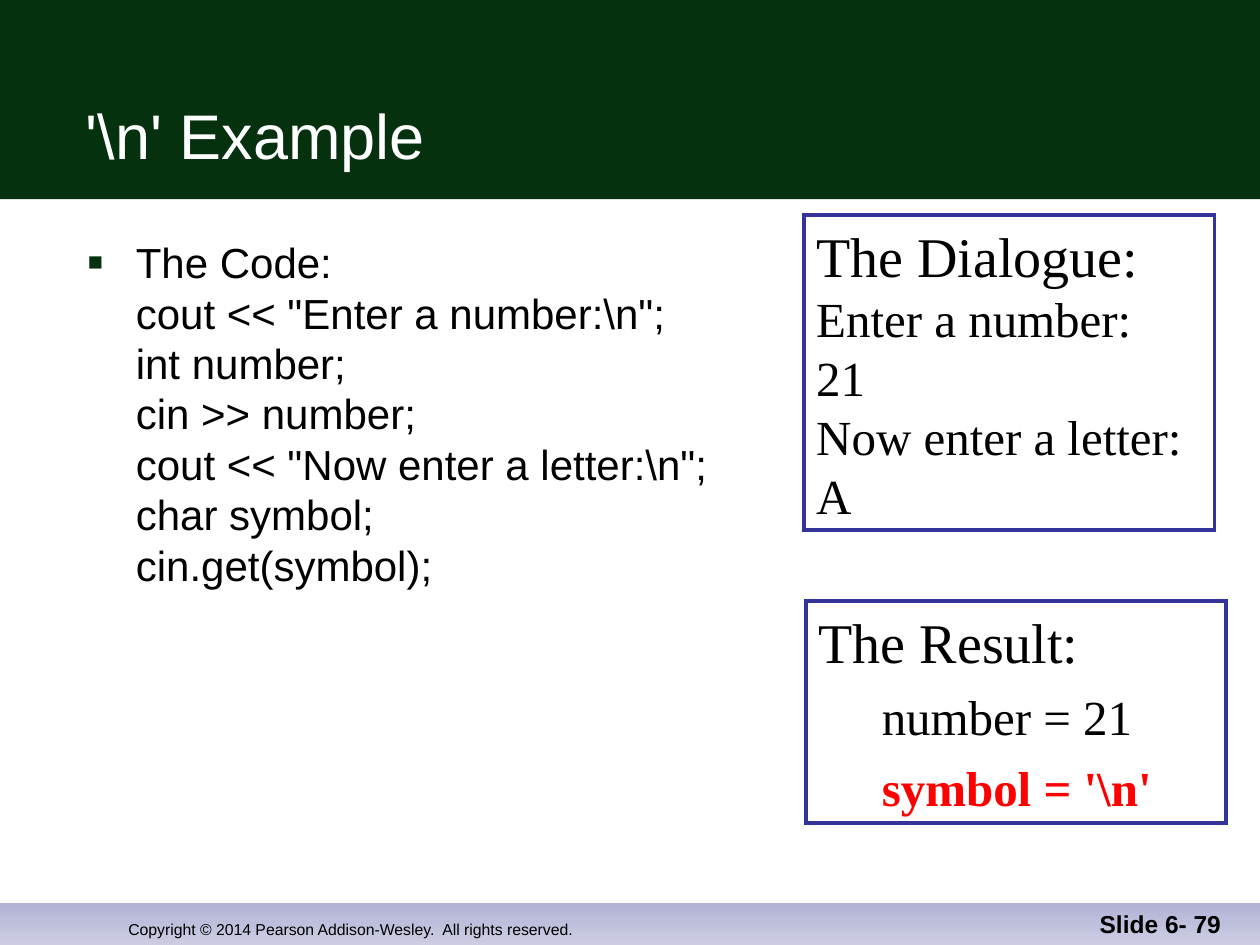
from lxml.etree import SubElement
from pptx import Presentation
from pptx.dml.color import RGBColor
from pptx.enum.shapes import MSO_SHAPE
from pptx.enum.text import MSO_ANCHOR, MSO_AUTO_SIZE, PP_ALIGN
from pptx.oxml.ns import qn
from pptx.util import Inches, Pt

GREEN = RGBColor(0x05, 0x31, 0x0F)
LAVENDER = RGBColor(0xB2, 0xB3, 0xD5)
PALE_LAVENDER = RGBColor(0xCC, 0xCD, 0xE3)
INDIGO = RGBColor(0x33, 0x33, 0x99)
BLACK = RGBColor(0, 0, 0)
WHITE = RGBColor(0xFF, 0xFF, 0xFF)
RED = RGBColor(0xFF, 0, 0)

CODE = [
    "The Code:",
    'cout << "Enter a number:\\n";',
    "int number;",
    "cin >> number;",
    'cout << "Now enter a letter:\\n";',
    "char symbol;",
    "cin.get(symbol);",
]
DIALOGUE = ["The Dialogue:", "Enter a number:", "21", "Now enter a letter:", "A"]


def format_runs(paragraph, size, font="Arial", color=BLACK, bold=False):
    """Give every run of a paragraph the same font."""
    for run in paragraph.runs:
        run.font.name = font
        run.font.size = Pt(size)
        run.font.color.rgb = color
        run.font.bold = bold


def add_band(slide, box):
    """Add a borderless rectangle and return it."""
    band = slide.shapes.add_shape(MSO_SHAPE.RECTANGLE, *map(Inches, box))
    band.shadow.inherit = False
    band.line.fill.background()
    return band


def add_header(slide, box, title_box):
    """Place the green header with the slide title on it."""
    header = add_band(slide, box)
    header.fill.solid()
    header.fill.fore_color.rgb = GREEN
    title = slide.shapes.title
    slide.shapes._spTree.append(title._element)
    title.left, title.top, title.width, title.height = map(Inches, title_box)
    frame = title.text_frame
    frame.text = "'\\n' Example"
    frame.auto_size = MSO_AUTO_SIZE.NONE
    frame.vertical_anchor = MSO_ANCHOR.BOTTOM
    frame.paragraphs[0].alignment = PP_ALIGN.LEFT
    format_runs(frame.paragraphs[0], 36, color=WHITE)


def add_label(slide, box, text, size, bold=False, alignment=PP_ALIGN.LEFT):
    """Place one line of footer text at the bottom of its box."""
    frame = slide.shapes.add_textbox(*map(Inches, box)).text_frame
    frame.word_wrap = True
    frame.vertical_anchor = MSO_ANCHOR.BOTTOM
    frame.text = text
    frame.paragraphs[0].alignment = alignment
    format_runs(frame.paragraphs[0], size, bold=bold)


def add_footer(slide, box):
    """Place the gradient band with the copyright line and slide number."""
    footer = add_band(slide, box)
    footer.fill.gradient()
    footer.fill.gradient_angle = 270
    for stop, color in zip(footer.fill.gradient_stops, (LAVENDER, PALE_LAVENDER)):
        stop.color.rgb = color
    copyright_line = "Copyright © 2014 Pearson Addison-Wesley.  All rights reserved."
    add_label(slide, (0.92, 7, 4.92, 0.5), copyright_line, 9)
    add_label(slide, (7.71, 7, 2.08, 0.5), "Slide 6- 79", 14, True, PP_ALIGN.RIGHT)


def add_square_bullet(paragraph):
    """Give a paragraph a small green square bullet with a hanging indent."""
    properties = paragraph._p.get_or_add_pPr()
    properties.set("marL", str(Inches(0.38)))
    properties.set("indent", str(Inches(-0.38)))
    bullet_color = SubElement(properties, qn("a:buClr"))
    SubElement(bullet_color, qn("a:srgbClr"), val=str(GREEN))
    SubElement(properties, qn("a:buSzPct"), val="60000")
    SubElement(properties, qn("a:buFont"), typeface="Arial")
    SubElement(properties, qn("a:buChar"), char="■")


def add_code(slide, box):
    """Place the bulleted code listing."""
    frame = slide.shapes.add_textbox(*map(Inches, box)).text_frame
    frame.word_wrap = True
    frame.margin_right = 0
    frame.text = "\v".join(CODE)
    listing = frame.paragraphs[0]
    add_square_bullet(listing)
    format_runs(listing, 24)


def add_panel(slide, box, text):
    """Add an outlined panel headed by its first run and return its paragraphs."""
    panel = slide.shapes.add_shape(MSO_SHAPE.RECTANGLE, *map(Inches, box))
    panel.shadow.inherit = False
    panel.fill.background()
    panel.line.color.rgb = INDIGO
    panel.line.width = Pt(2.25)
    SubElement(panel.line._get_or_add_ln(), qn("a:miter"), lim="800000")
    frame = panel.text_frame
    frame.word_wrap = True
    frame.auto_size = MSO_AUTO_SIZE.SHAPE_TO_FIT_TEXT
    frame.vertical_anchor = MSO_ANCHOR.TOP
    frame.text = text
    for paragraph in frame.paragraphs:
        paragraph.alignment = PP_ALIGN.LEFT
        format_runs(paragraph, 28, "Times New Roman")
    frame.paragraphs[0].runs[0].font.size = Pt(32)
    return frame.paragraphs


def add_result(slide, box):
    """Place the panel that shows the resulting variable values."""
    values = add_panel(slide, box, "The Result:\nnumber = 21\nsymbol = '\\n'")[1:]
    for value in values:
        value.level = 1
        value.space_before = Pt(7)
        value._p.get_or_add_pPr().set("marL", str(Inches(0.5)))
    format_runs(values[-1], 28, "Times New Roman", RED, True)


def main():
    """Build the slide and save it."""
    presentation = Presentation()
    presentation.slide_width = Inches(10)
    presentation.slide_height = Inches(7.5)
    slide = presentation.slides.add_slide(presentation.slide_layouts[5])
    add_footer(slide, (0, 7.17, 10, 0.33))
    add_header(slide, (0, 0, 10, 1.58), (0.58, 0.33, 9.08, 1.09))
    add_code(slide, (0.6, 1.83, 9.07, 5))
    add_panel(slide, (6.38, 1.71, 3.26, 2.5), "\v".join(DIALOGUE))
    add_result(slide, (6.4, 4.77, 3.33, 1.76))
    presentation.save("out.pptx")


if __name__ == "__main__":
    main()
